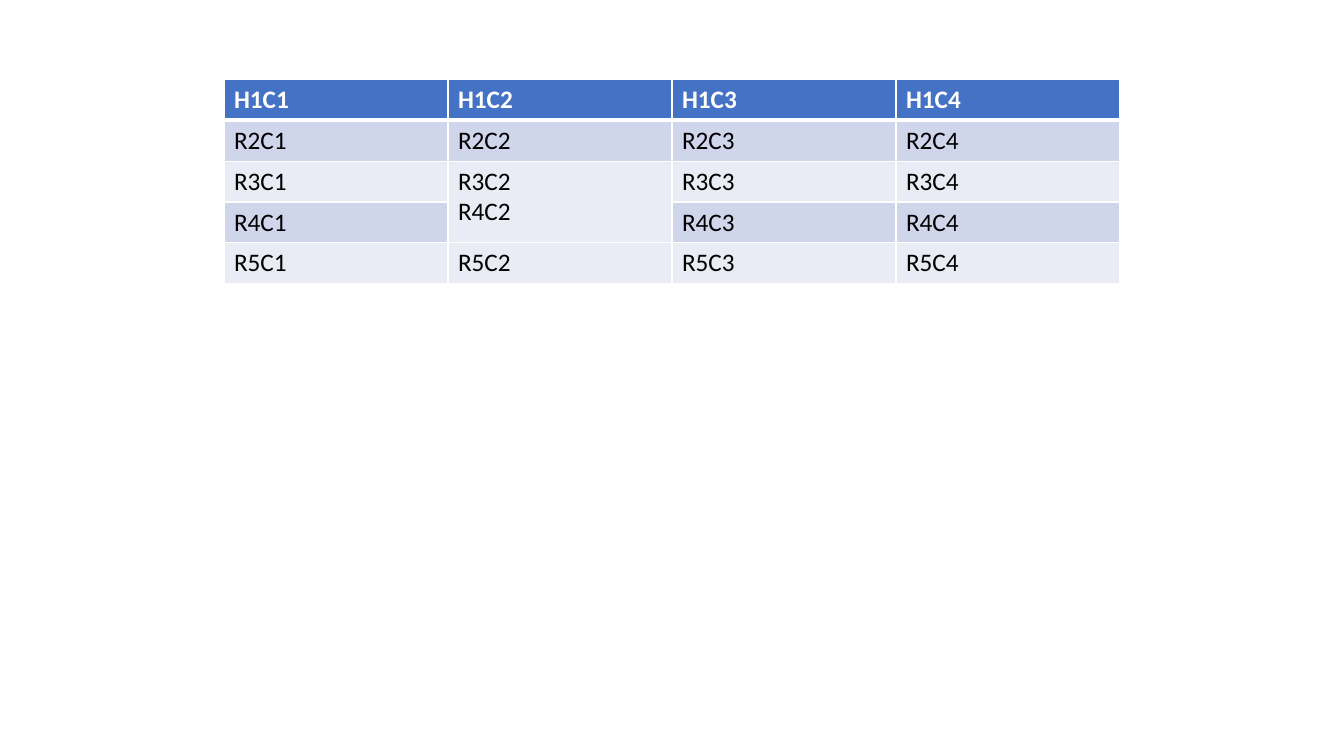
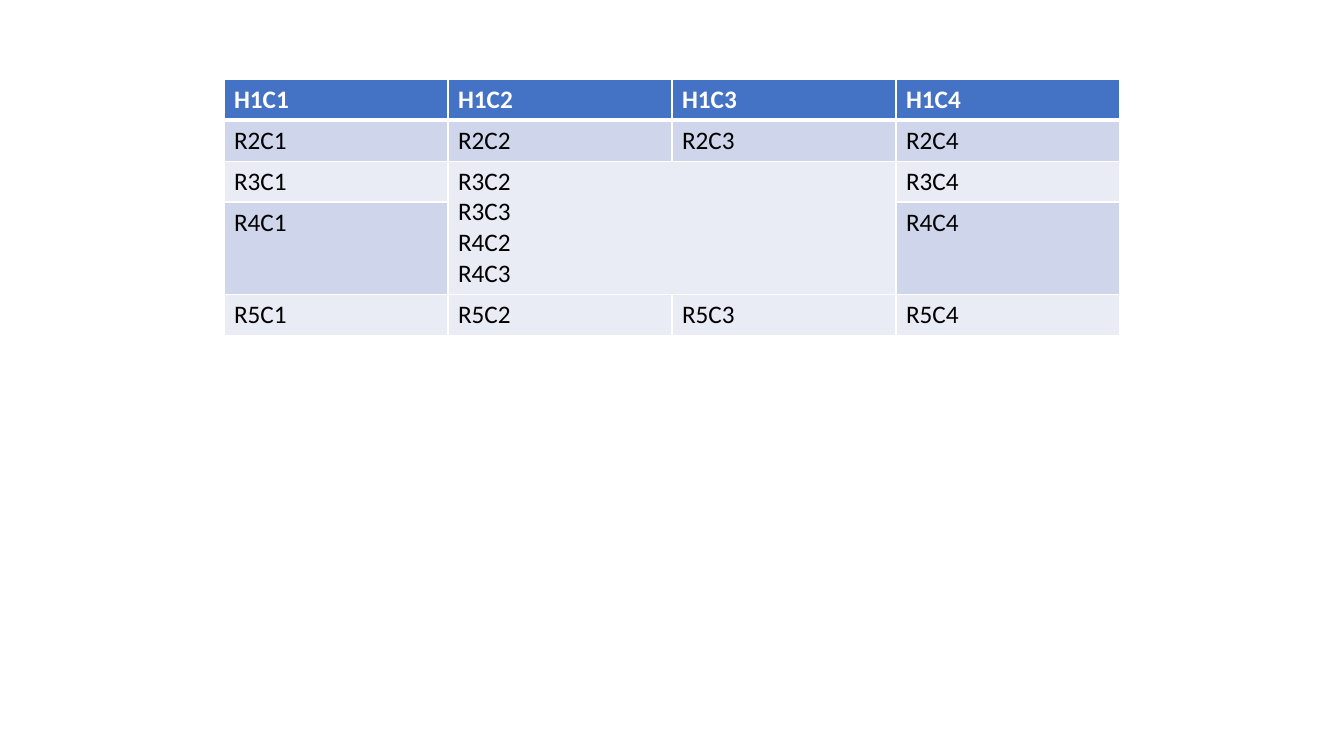
"""Build two slides that show merged cells in a table."""
from dataclasses import dataclass

from lxml.etree import SubElement
from pptx import Presentation
from pptx.dml.color import RGBColor
from pptx.oxml.ns import qn
from pptx.util import Inches, Pt


@dataclass(frozen=True)
class Theme:
    """Hold the colours, type and line sizes."""
    head: str = "4472C4"
    bands: tuple = ("CFD5EA", "E9EBF5")
    light: str = "FFFFFF"
    dark: str = "000000"
    font: str = "Calibri"
    size: int = 18
    thin: int = 1
    thick: int = 3


def write(frame, text, *, font, size, color, bold=False):
    """Put formatted text into a frame."""
    run = frame.paragraphs[0].add_run()
    run.text = text
    run.font.name = font
    run.font.size = Pt(size)
    run.font.bold = bold
    run.font.color.rgb = RGBColor.from_string(color)


class Deck:
    """Hold the style and the current slide."""

    def __init__(self, theme, cols=6):
        """Start a wide deck with a column grid."""
        self.theme = theme
        self.file = Presentation()
        self.file.slide_width = Inches(13.33)
        self.file.slide_height = Inches(7.5)
        self.col = self.file.slide_width // cols
        self.slide = None

    def page(self):
        """Add a blank slide and make it current."""
        self.slide = self.file.slides.add_slide(self.file.slide_layouts[6])

    def share(self, part):
        """Turn a share of the slide's height into a length."""
        return round(self.file.slide_height * part)

    def edges(self, cell, **widths):
        """Draw the cell's borders, given as side and width."""
        props = cell._tc.get_or_add_tcPr()
        for side, width in widths.items():
            line = SubElement(props, qn(f"a:ln{side}"), w=str(Pt(width)))
            fill = SubElement(line, qn("a:solidFill"))
            SubElement(fill, qn("a:srgbClr"), val=self.theme.light)

    def cell(self, cell, text, row):
        """Fill and frame one cell by the rule of its row."""
        look = self.theme
        head = row == 0
        self.edges(cell, L=look.thin, R=look.thin,
                   T=look.thick if row == 1 else look.thin,
                   B=look.thick if head else look.thin)
        cell.fill.solid()
        tint = look.head if head else look.bands[(row - 1) % 2]
        cell.fill.fore_color.rgb = RGBColor.from_string(tint)
        write(cell.text_frame, text, font=look.font, size=look.size,
              color=look.light if head else look.dark, bold=head)

    def table(self, first, last, rows=5, cols=4, left=1, top=0.105, high=0.054):
        """Add a table and merge the block from first to last."""
        grid = self.slide.shapes.add_table(
            rows, cols, left * self.col, self.share(top),
            cols * self.col, rows * self.share(high)).table
        for row in range(rows):
            for col in range(cols):
                mark = "R" if row else "H"
                self.cell(grid.cell(row, col), f"{mark}{row + 1}C{col + 1}", row)
        grid.cell(*first).merge(grid.cell(*last))


def main():
    """Build and save the deck."""
    deck = Deck(Theme())
    for last in ((3, 1), (3, 2)):
        deck.page()
        deck.table((2, 1), last)
    deck.file.save("out.pptx")


if __name__ == "__main__":
    main()
